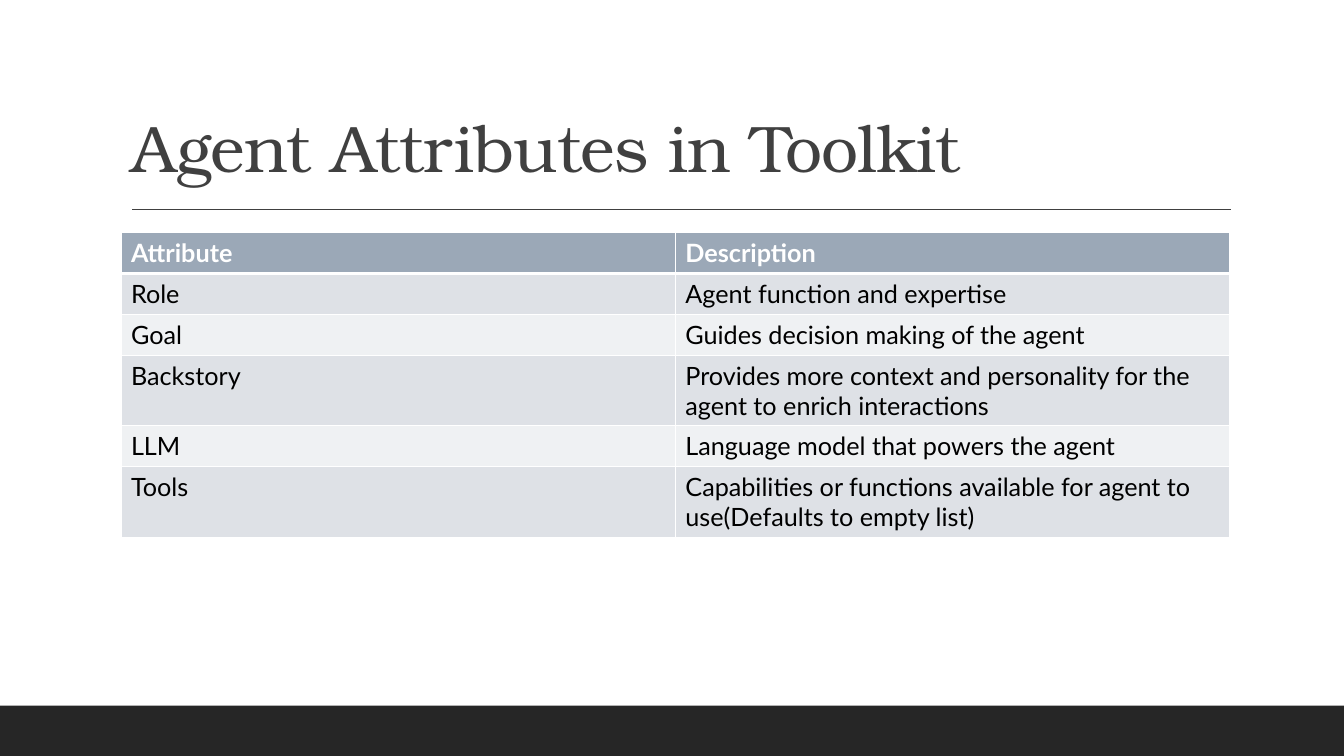
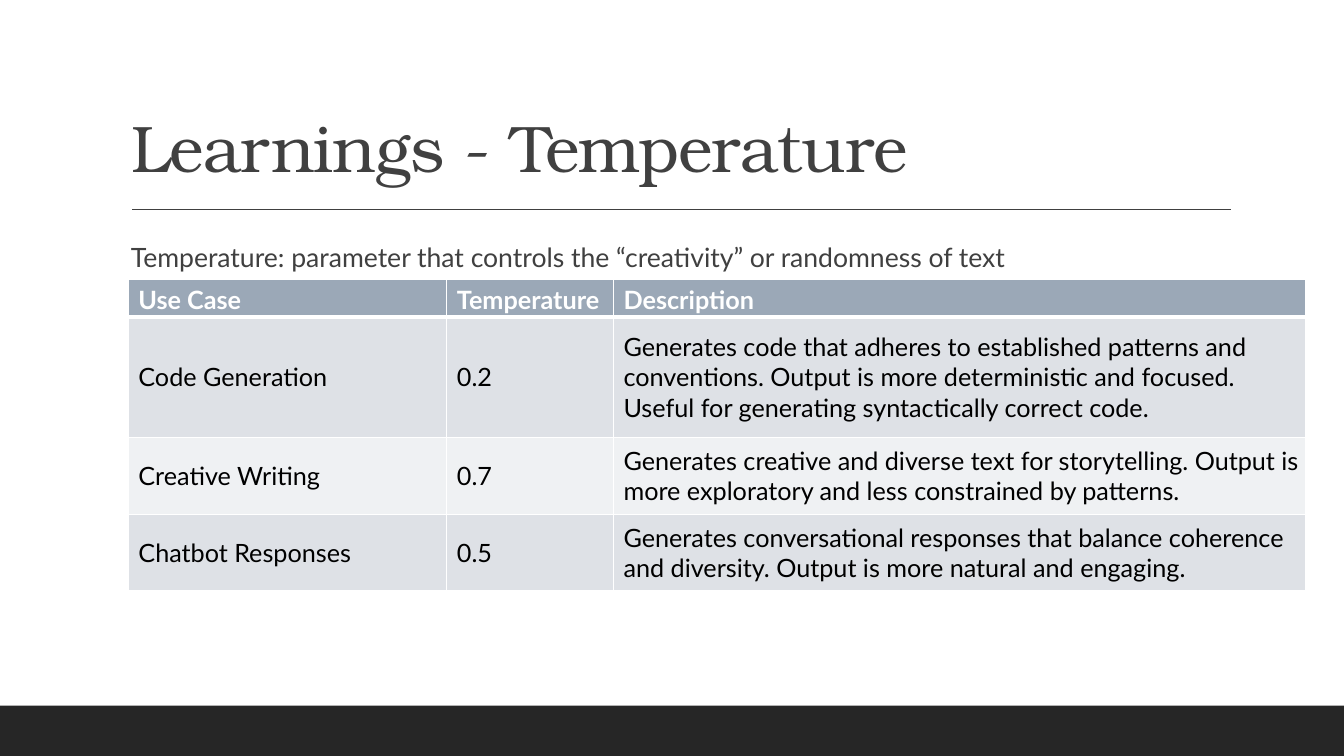
import lxml.etree
import pptx
import pptx.dml.color
import pptx.enum.shapes
import pptx.enum.text
import pptx.oxml.ns
import pptx.util

COLORS = {
    "ink": "404040",
    "band": "262626",
    "header": "9BA8B7",
    "odd": "DEE1E6",
    "even": "EFF1F3",
    "white": "FFFFFF",
    "black": "000000",
}
TITLE_FONT, BODY_FONT = "TeX Gyre Bonum", "Lato"
TITLE_ONLY = 5
CONTENT_LEFT, CONTENT_WIDTH, CONTENT_TOP = 9, 82.5, 30.8
ANCHOR = pptx.enum.text.MSO_ANCHOR


def rgb(name):
    return pptx.dml.color.RGBColor.from_string(COLORS[name])


def add_element(parent, tag, **attributes):
    return lxml.etree.SubElement(parent, pptx.oxml.ns.qn(tag), attributes)


class Deck:
    """Holds the style and the current slide; lengths are percent of the slide."""

    def __init__(self):
        self.presentation = pptx.Presentation()
        self.presentation.slide_width = pptx.util.Inches(13.33)
        self.presentation.slide_height = pptx.util.Inches(7.5)
        self.slide = None

    def x(self, percent):
        return round(self.presentation.slide_width * percent / 100)

    def y(self, percent):
        return round(self.presentation.slide_height * percent / 100)

    def box(self, left, top, width, height):
        return self.x(left), self.y(top), self.x(width), self.y(height)

    def style(self, paragraph, size, color, font=BODY_FONT, bold=False):
        paragraph.font.size = pptx.util.Pt(size)
        paragraph.font.name = font
        paragraph.font.bold = bold
        paragraph.font.color.rgb = rgb(color)
        paragraph.alignment = pptx.enum.text.PP_ALIGN.LEFT

    def add_slide(self, title):
        layout = self.presentation.slide_layouts[TITLE_ONLY]
        self.slide = self.presentation.slides.add_slide(layout)
        self.add_band()
        self.add_rule()
        self.set_title(title)

    def add_band(self):
        band = self.slide.shapes.add_shape(
            pptx.enum.shapes.MSO_SHAPE.RECTANGLE, *self.box(0, 93.33, 100, 6.67))
        band.shadow.inherit = False
        band.fill.solid()
        band.fill.fore_color.rgb = rgb("band")
        band.line.fill.background()

    def add_rule(self):
        rule = self.slide.shapes.add_connector(
            pptx.enum.shapes.MSO_CONNECTOR.STRAIGHT,
            self.x(9.83), self.y(27.73), self.x(91.6), self.y(27.73))
        rule.line.color.rgb = rgb("ink")
        rule.line.width = pptx.util.Pt(1)
        add_element(rule._element.spPr, "a:effectLst")

    def set_title(self, text):
        title = self.slide.shapes.title
        title.left, title.top, title.width, title.height = self.box(
            CONTENT_LEFT, 4.13, CONTENT_WIDTH, 21.2)
        frame = title.text_frame
        frame.text = text
        frame.auto_size = pptx.enum.text.MSO_AUTO_SIZE.NONE
        frame.vertical_anchor = ANCHOR.BOTTOM
        paragraph = frame.paragraphs[0]
        paragraph.line_spacing = 0.9
        self.style(paragraph, 47, "ink", TITLE_FONT)
        paragraph.runs[0]._r.get_or_add_rPr().set("spc", "-50")

    def add_text(self, text):
        text_box = self.slide.shapes.add_textbox(
            *self.box(CONTENT_LEFT, CONTENT_TOP, CONTENT_WIDTH, 6))
        frame = text_box.text_frame
        frame.word_wrap = True
        frame.text = text
        frame.paragraphs[0].line_spacing = 1.1
        self.style(frame.paragraphs[0], 19, "ink")

    def add_table(self, left, top, columns, heights, rows,
                  anchor=ANCHOR.TOP, header_margins=None, body_margins=None):
        """Margins are inches: left, top, right, bottom."""
        table = self.slide.shapes.add_table(
            len(rows), len(columns),
            *self.box(left, top, sum(columns), sum(heights))).table
        for column, width in zip(table.columns, columns):
            column.width = self.x(width)
        for index, (row, height, texts) in enumerate(zip(table.rows, heights, rows)):
            row.height = self.y(height)
            margins = body_margins if index else header_margins
            for cell, text in zip(row.cells, texts):
                self.fill_cell(cell, text, index, anchor, margins)

    def fill_cell(self, cell, text, row_index, anchor, margins):
        is_header = row_index == 0
        cell.text = text
        cell.vertical_anchor = anchor
        if margins:
            (cell.margin_left, cell.margin_top, cell.margin_right,
             cell.margin_bottom) = map(pptx.util.Inches, margins)
        self.style(cell.text_frame.paragraphs[0], 18,
                   "white" if is_header else "black", bold=is_header)
        self.set_borders(cell, top=3 if row_index == 1 else 1,
                         bottom=3 if is_header else 1)
        cell.fill.solid()
        cell.fill.fore_color.rgb = rgb(
            "header" if is_header else "odd" if row_index % 2 else "even")

    def set_borders(self, cell, top, bottom):
        properties = cell._tc.get_or_add_tcPr()
        for side, points in (("L", 1), ("R", 1), ("T", top), ("B", bottom)):
            line = add_element(properties, f"a:ln{side}",
                               w=str(pptx.util.Pt(points)))
            add_element(add_element(line, "a:solidFill"), "a:srgbClr",
                        val=COLORS["white"])


def main():
    deck = Deck()

    deck.add_slide("Agent Attributes in Toolkit")
    attributes = [
        ("Attribute", "Description"),
        ("Role", "Agent function and expertise"),
        ("Goal", "Guides decision making of the agent"),
        ("Backstory", "Provides more context and personality for the agent "
                      "to enrich interactions"),
        ("LLM", "Language model that powers the agent"),
        ("Tools", "Capabilities or functions available for agent to "
                  "use(Defaults to empty list)"),
    ]
    deck.add_table(CONTENT_LEFT, CONTENT_TOP, [CONTENT_WIDTH / 2] * 2,
                   [5.4] * len(attributes), attributes)

    deck.add_slide("Learnings - Temperature")
    deck.add_text("Temperature: parameter that controls the “creativity” "
                  "or randomness of text")
    use_cases = [
        ("Use Case", "Temperature", "Description"),
        ("Code Generation", "0.2",
         "Generates code that adheres to established patterns and conventions. "
         "Output is more deterministic and focused. Useful for generating "
         "syntactically correct code."),
        ("Creative Writing", "0.7",
         "Generates creative and diverse text for storytelling. Output is more "
         "exploratory and less constrained by patterns."),
        ("Chatbot Responses", "0.5",
         "Generates conversational responses that balance coherence and "
         "diversity. Output is more natural and engaging."),
    ]
    deck.add_table(9.55, 36.95, [23.7, 12.4, 51.5], [2.4, 16, 10.15, 10.15],
                   use_cases, ANCHOR.MIDDLE,
                   header_margins=(0.1, 0.05, 0.1, 0.02),
                   body_margins=(0.1, 0.03, 0.03, 0.03))

    deck.presentation.save("out.pptx")


if __name__ == "__main__":
    main()
